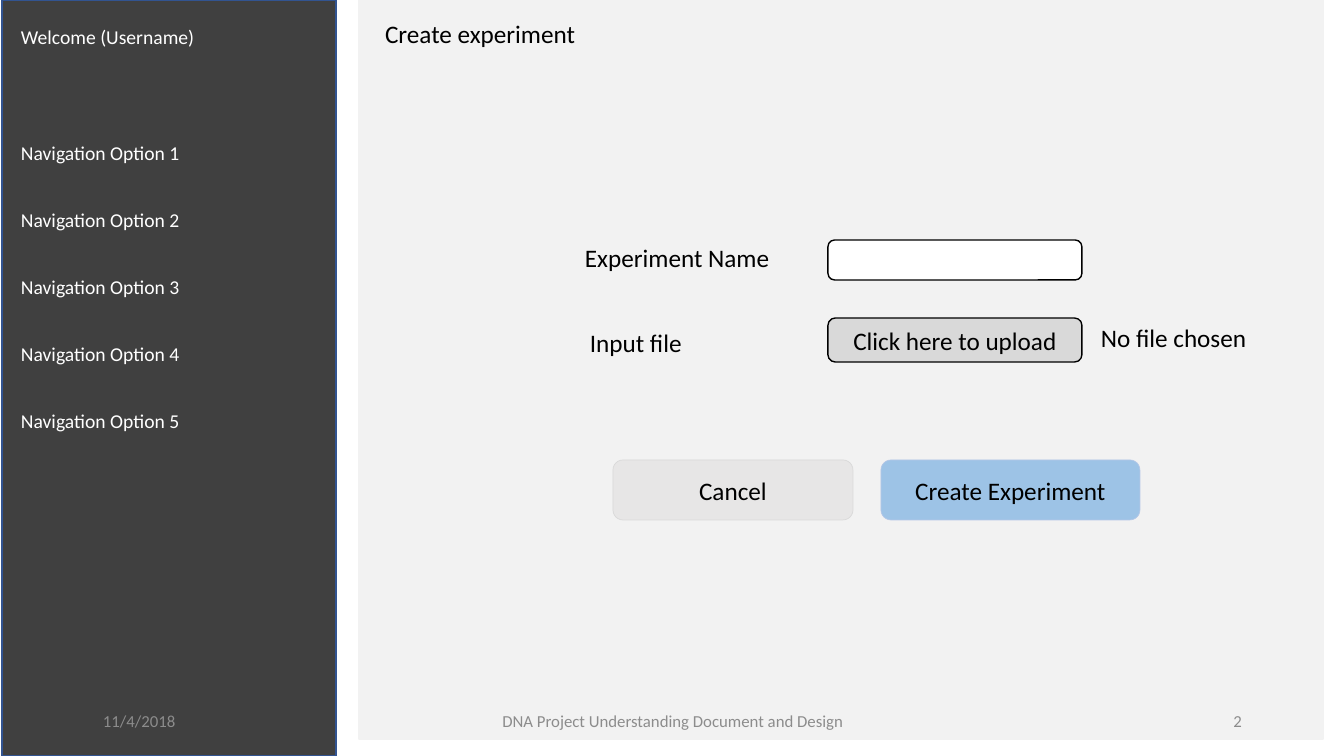
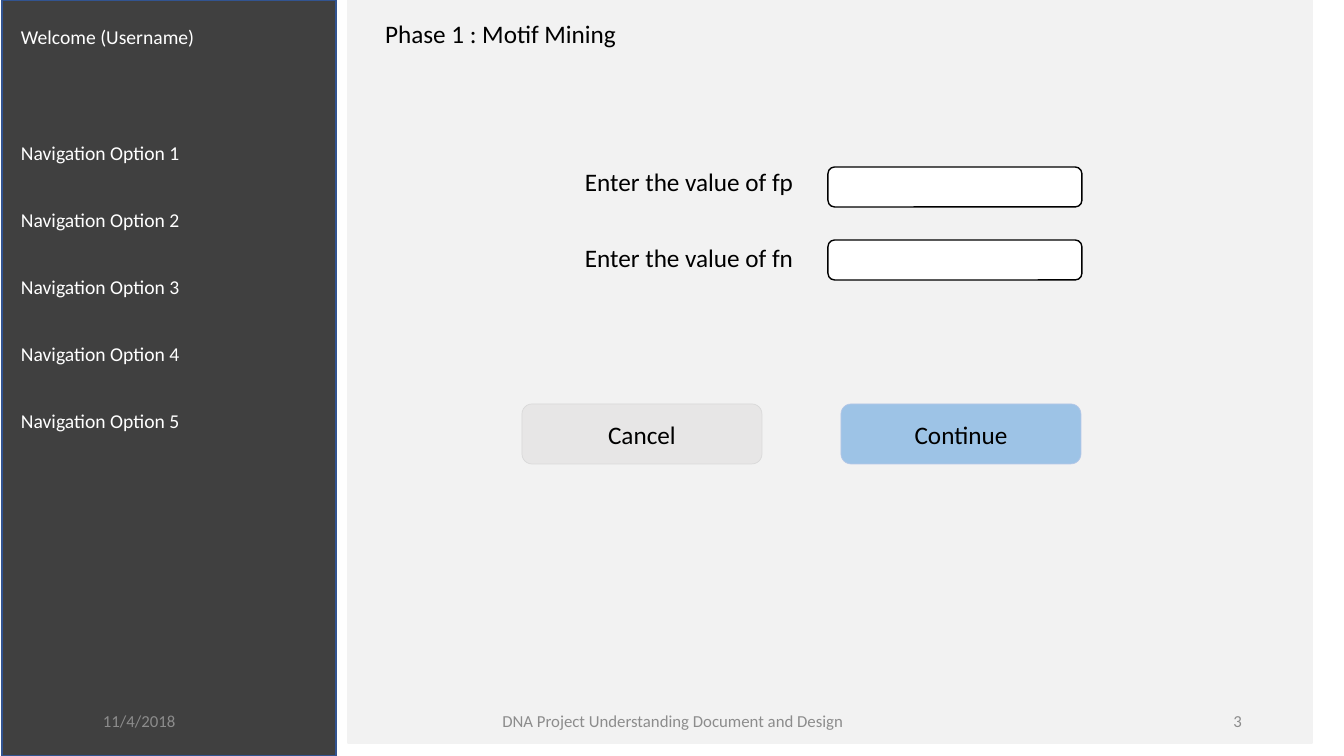
from dataclasses import dataclass

from pptx import Presentation
from pptx import util as u
from pptx.dml.color import RGBColor
from pptx.enum import shapes, text

EMU_PER_PX = 914400 / 100.8
SLIDE_W, SLIDE_H = 1344, 756
TITLE_ONLY = 5


@dataclass(frozen=True)
class Theme:
    font: str = "Calibri"
    body_size: int = 18
    nav_size: int = 14
    footer_size: int = 12
    ink: str = "000000"
    white: str = "FFFFFF"
    panel: str = "F2F2F2"
    sidebar: str = "404040"
    sidebar_edge: str = "325491"
    footer: str = "8C8C8C"
    upload: str = "D9D9D9"
    cancel: str = "E7E6E6"
    cancel_edge: str = "D9D9D9"
    primary: str = "9DC3E6"
    primary_edge: str = "B4C7E7"


THEME = Theme()
LEFT, CENTER, RIGHT = text.PP_ALIGN.LEFT, text.PP_ALIGN.CENTER, text.PP_ALIGN.RIGHT
TOP, MIDDLE = text.MSO_ANCHOR.TOP, text.MSO_ANCHOR.MIDDLE


def px(length):
    return u.Emu(round(length * EMU_PER_PX))


def write(shape, words, size=THEME.body_size, color=THEME.ink, align=LEFT, anchor=TOP):
    frame = shape.text_frame
    frame.word_wrap = True
    frame.auto_size = text.MSO_AUTO_SIZE.NONE
    frame.vertical_anchor = anchor
    paragraph = frame.paragraphs[0]
    paragraph.alignment = align
    run = paragraph.add_run()
    run.text = words
    run.font.name = THEME.font
    run.font.size = u.Pt(size)
    run.font.color.rgb = RGBColor.from_string(color)


class Screen:
    """One slide of the mock-up, with a method for each kind of element."""

    NAV_TOP, NAV_STEP, NAV_COUNT = 136, 67, 5
    FIELD_X, FIELD_W = 828, 254
    BUTTON_H = 60

    def __init__(self, deck, theme=THEME):
        self.theme = theme
        self.slide = deck.slides.add_slide(deck.slide_layouts[TITLE_ONLY])
        self.number = len(deck.slides)

    def box(self, x, y, w, h, fill, edge, weight=1, rounded=False):
        kind = shapes.MSO_SHAPE.ROUNDED_RECTANGLE if rounded else shapes.MSO_SHAPE.RECTANGLE
        shape = self.slide.shapes.add_shape(kind, px(x), px(y), px(w), px(h))
        shape.shadow.inherit = False
        shape.fill.solid()
        shape.fill.fore_color.rgb = RGBColor.from_string(fill)
        shape.line.color.rgb = RGBColor.from_string(edge)
        shape.line.width = u.Pt(weight)
        return shape

    def label(self, words, x, y, w=306, h=40, **style):
        write(self.slide.shapes.add_textbox(px(x), px(y), px(w), px(h)), words, **style)

    def panel(self, x, y, h):
        self.box(x, y, 964, h, self.theme.panel, self.theme.panel)

    def field(self, y):
        self.box(self.FIELD_X, y, self.FIELD_W, 40, self.theme.white, self.theme.ink, rounded=True)

    def upload(self, words, y):
        button = self.box(self.FIELD_X, y, self.FIELD_W, 44,
                          self.theme.upload, self.theme.ink, rounded=True)
        write(button, words, align=CENTER, anchor=MIDDLE)

    def button(self, words, x, y, w=240, primary=False):
        t = self.theme
        fill, edge = (t.primary, t.primary_edge) if primary else (t.cancel, t.cancel_edge)
        button = self.box(x, y, w, self.BUTTON_H, fill, edge, weight=0.5, rounded=True)
        write(button, words, align=CENTER, anchor=MIDDLE)

    def title(self, words):
        heading = self.slide.shapes.title
        heading.left, heading.top, heading.width, heading.height = map(px, (375, 13, 419, 40))
        write(heading, words)
        # Bring the title in front of the panel
        heading.element.getparent().append(heading.element)

    def sidebar(self):
        self.box(2, 0, 334, SLIDE_H, self.theme.sidebar, self.theme.sidebar_edge)
        style = dict(h=34, size=self.theme.nav_size, color=self.theme.white)
        self.label("Welcome (Username)", 11, 20, w=257, **style)
        for i in range(self.NAV_COUNT):
            self.label(f"Navigation Option {i + 1}", 11,
                       self.NAV_TOP + i * self.NAV_STEP, w=225, **style)

    def footer(self):
        for words, x, w, align in (
            ("11/4/2018", 93, 302, LEFT),
            ("DNA Project Understanding Document and Design", 446, 454, CENTER),
            (str(self.number + 1), 950, 302, RIGHT),
        ):
            self.label(words, x, 701, w=w, size=self.theme.footer_size,
                       color=self.theme.footer, align=align, anchor=MIDDLE)

    def frame(self, title):
        self.sidebar()
        self.title(title)
        self.footer()


deck = Presentation()
deck.slide_width, deck.slide_height = px(SLIDE_W), px(SLIDE_H)

# Create experiment
create = Screen(deck)
create.panel(359, -17, 756)
create.label("Experiment Name", 575, 237)
create.field(240)
create.label("Input file", 580, 322)
create.upload("Click here to upload", 318)
create.label("No file chosen", 1091, 317, w=250)
create.button("Cancel", 613, 460)
create.button("Create Experiment", 881, 460, w=259, primary=True)
create.frame("Create experiment")

# Motif mining
mining = Screen(deck)
mining.panel(348, -16, 759)
for parameter, label_y, field_y in (("fp", 161, 167), ("fn", 237, 240)):
    mining.label(f"Enter the value of {parameter}", 575, label_y)
    mining.field(field_y)
mining.button("Cancel", 522, 404)
mining.button("Continue", 841, 404, primary=True)
mining.frame("Phase 1 : Motif Mining")

deck.save("out.pptx")
